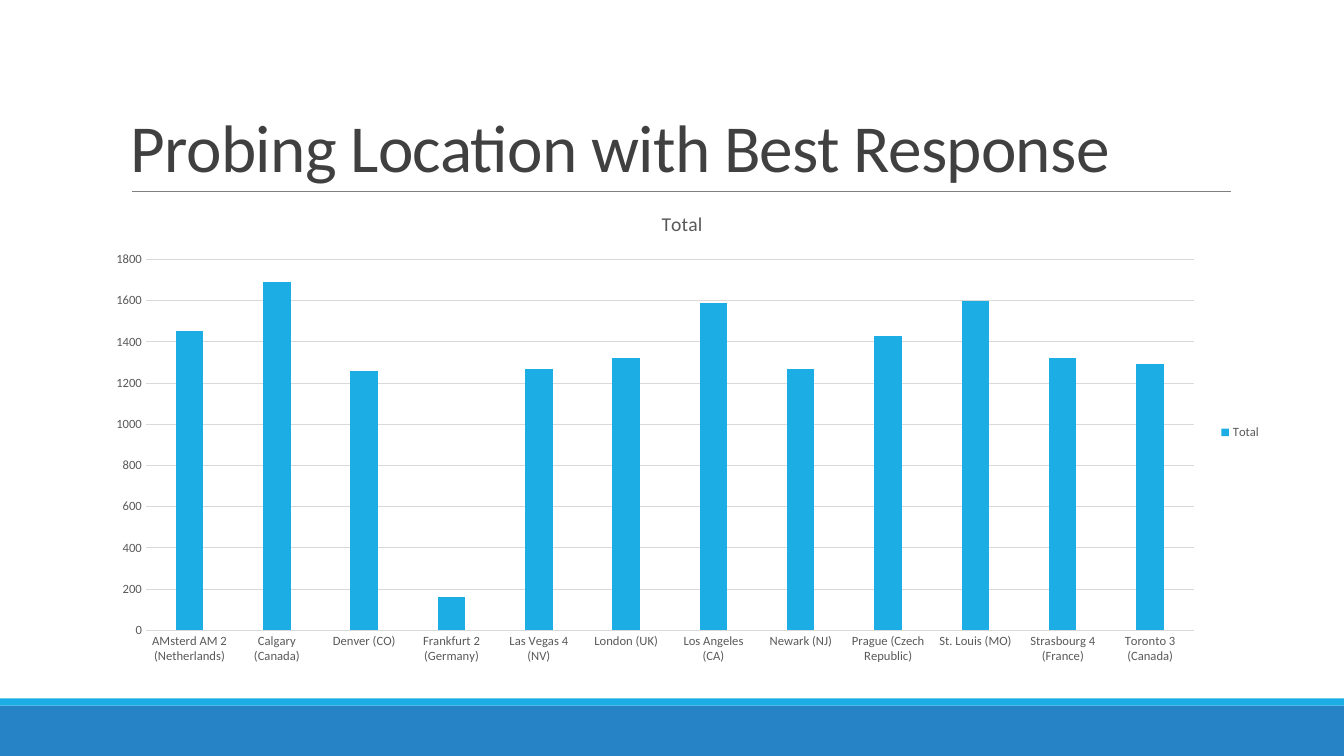
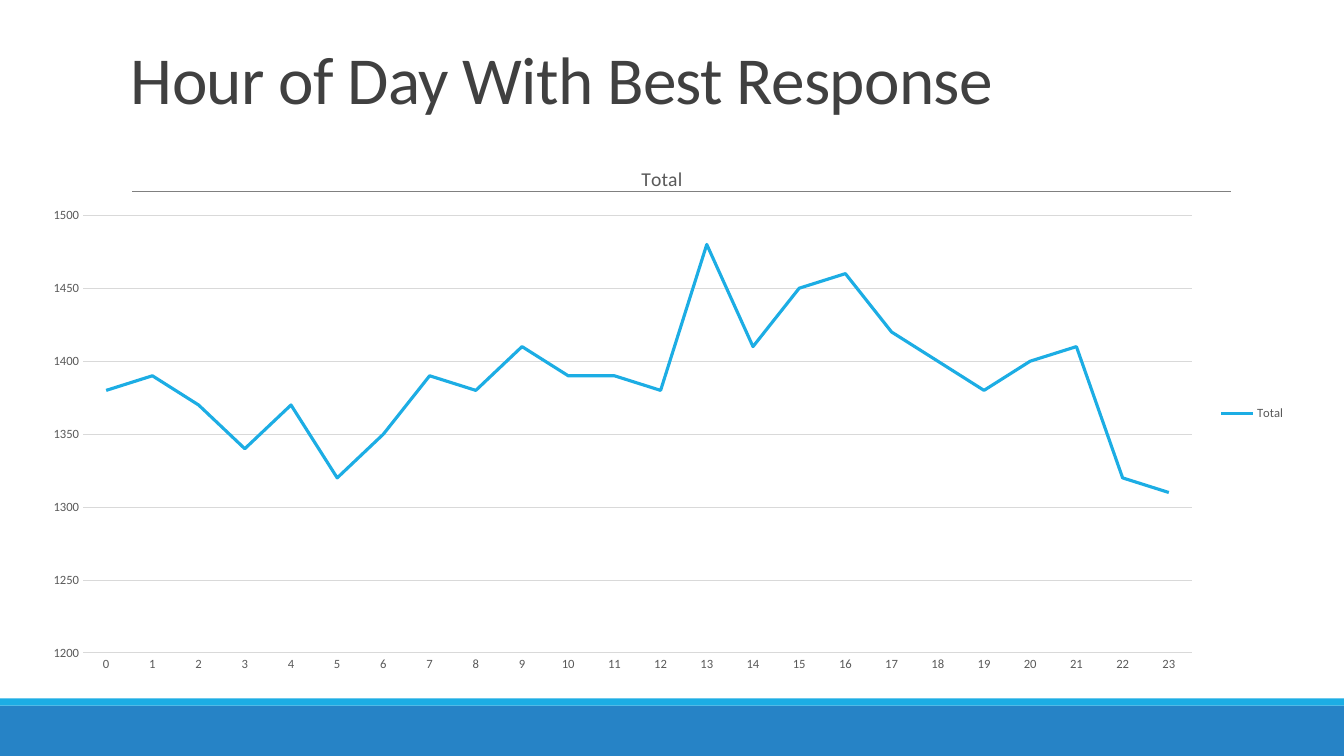
from lxml.etree import SubElement
from pptx import Presentation
from pptx.chart.data import CategoryChartData
from pptx.dml.color import RGBColor
from pptx.enum.chart import XL_CHART_TYPE as Chart, XL_LEGEND_POSITION as Legend, XL_TICK_MARK as Tick
from pptx.enum.shapes import MSO_CONNECTOR as Connector, MSO_SHAPE as Shape
from pptx.enum.text import MSO_ANCHOR as Anchor
from pptx.oxml.ns import qn
from pptx.util import Inches, Pt

# Content
LOCATIONS = [
    ("AMsterd AM 2 (Netherlands)", 1450), ("Calgary (Canada)", 1690),
    ("Denver (CO)", 1260), ("Frankfurt 2 (Germany)", 160),
    ("Las Vegas 4 (NV)", 1270), ("London (UK)", 1320),
    ("Los Angeles (CA)", 1590), ("Newark (NJ)", 1270),
    ("Prague (Czech Republic)", 1430), ("St. Louis (MO)", 1600),
    ("Strasbourg 4 (France)", 1320), ("Toronto 3 (Canada)", 1290),
]
HOURLY = [1380, 1390, 1370, 1340, 1370, 1320, 1350, 1390, 1380, 1410, 1390, 1390,
          1380, 1480, 1410, 1450, 1460, 1420, 1400, 1380, 1400, 1410, 1320, 1310]
SLIDES = [
    {"title": "Probing Location with Best Response", "title_height": 1.59,
     "kind": Chart.COLUMN_CLUSTERED, "box": (0.92, 1.9, 11.69, 4.78),
     "points": LOCATIONS, "scale": (0, 1800, 200)},
    {"title": "Hour of Day With Best Response", "title_height": 0.91,
     "kind": Chart.LINE, "box": (0.28, 1.44, 12.57, 5.33),
     "points": [(str(hour), value) for hour, value in enumerate(HOURLY)],
     "scale": (1200, 1500, 50)},
]

# Shared look
WIDTH, HEIGHT = 13.33, 7.5
BAND, STRIPE = 0.5, 0.07
FONT = "Calibri"
BLUE, CYAN, RULE, GRID = "2683C6", "1CADE4", "808080", "D9D9D9"
TITLE_INK, CHART_INK = "404040", "595959"


def color(hex_code):
    return RGBColor.from_string(hex_code)


def style_font(font, size, ink):
    font.name, font.size, font.bold = FONT, Pt(size), False
    font.color.rgb = color(ink)


def style_line(line, ink, width):
    line.color.rgb = color(ink)
    line.width = Pt(width)


def add_frame(slide):
    """Bottom bands and the rule under the title."""
    band_top = HEIGHT - BAND
    for top, height, fill in ((band_top, BAND, BLUE), (band_top - STRIPE, STRIPE, CYAN)):
        band = slide.shapes.add_shape(
            Shape.RECTANGLE, 0, Inches(top), Inches(WIDTH), Inches(height))
        band.shadow.inherit = False
        band.fill.solid()
        band.fill.fore_color.rgb = color(fill)
        band.line.fill.background()
    rule = slide.shapes.add_connector(
        Connector.STRAIGHT, Inches(1.31), Inches(1.9), Inches(12.21), Inches(1.9))
    style_line(rule.line, RULE, 0.5)
    SubElement(rule.element.spPr, qn("a:effectLst"))


def add_title(slide, text, height):
    frame = slide.shapes.add_textbox(
        Inches(1.2), Inches(0.31), Inches(11), Inches(height)).text_frame
    frame.word_wrap = True
    frame.vertical_anchor = Anchor.BOTTOM
    paragraph = frame.paragraphs[0]
    paragraph.line_spacing = 0.85
    run = paragraph.add_run()
    run.text = text
    style_font(run.font, 48, TITLE_INK)
    run.font._element.set("spc", "-50")


def style_axes(chart, scale):
    categories, values = chart.category_axis, chart.value_axis
    for axis in (categories, values):
        axis.major_tick_mark = axis.minor_tick_mark = Tick.NONE
        style_font(axis.tick_labels.font, 9, CHART_INK)
    style_line(categories.format.line, GRID, 0.75)
    values.format.line.fill.background()
    style_line(values.major_gridlines.format.line, GRID, 0.75)
    values.minimum_scale, values.maximum_scale, values.major_unit = scale


def add_total_chart(slide, kind, box, points, scale):
    data = CategoryChartData()
    data.categories = [label for label, _ in points]
    data.add_series("Total", [value for _, value in points])
    chart = slide.shapes.add_chart(kind, *map(Inches, box), data).chart
    style_font(chart.font, 10, "000000")

    # Heading and legend
    chart.has_title = True
    heading = chart.chart_title.text_frame.paragraphs[0].add_run()
    heading.text = "Total"
    style_font(heading.font, 14, CHART_INK)
    chart.has_legend = True
    chart.legend.position = Legend.RIGHT
    chart.legend.include_in_layout = False
    style_font(chart.legend.font, 9, CHART_INK)
    style_axes(chart, scale)

    # Series
    plot = chart.plots[0]
    plot.vary_by_categories = False
    total = plot.series[0]
    if kind == Chart.LINE:
        total.smooth = False
        style_line(total.format.line, CYAN, 2.25)
    else:
        plot.gap_width, plot.overlap = 219, -27
        total.format.fill.solid()
        total.format.fill.fore_color.rgb = color(CYAN)


def main():
    deck = Presentation()
    deck.slide_width, deck.slide_height = Inches(WIDTH), Inches(HEIGHT)
    for content in SLIDES:
        slide = deck.slides.add_slide(deck.slide_layouts[6])
        add_frame(slide)
        add_title(slide, content["title"], content["title_height"])
        add_total_chart(slide, content["kind"], content["box"],
                        content["points"], content["scale"])
    deck.save("out.pptx")


if __name__ == "__main__":
    main()
